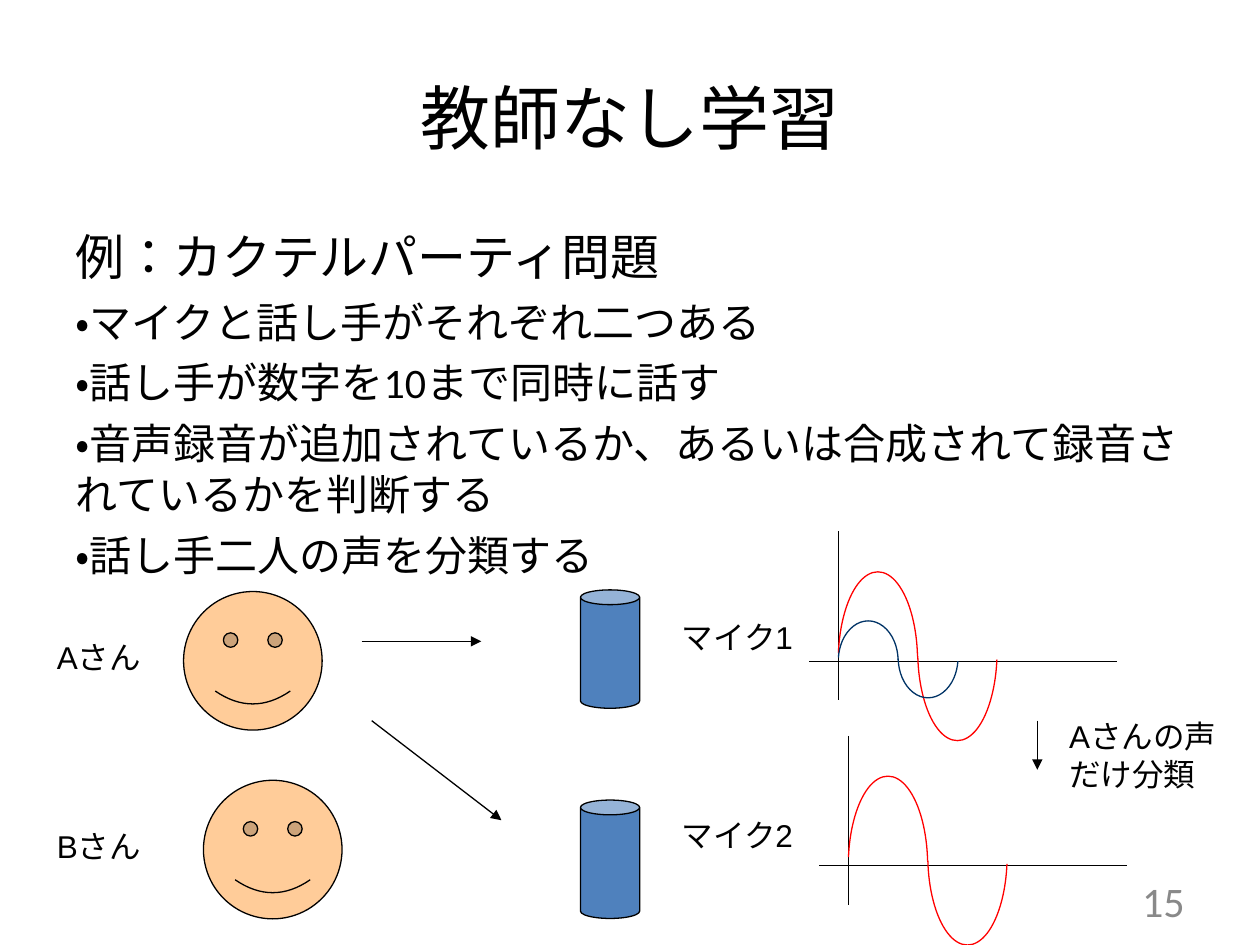
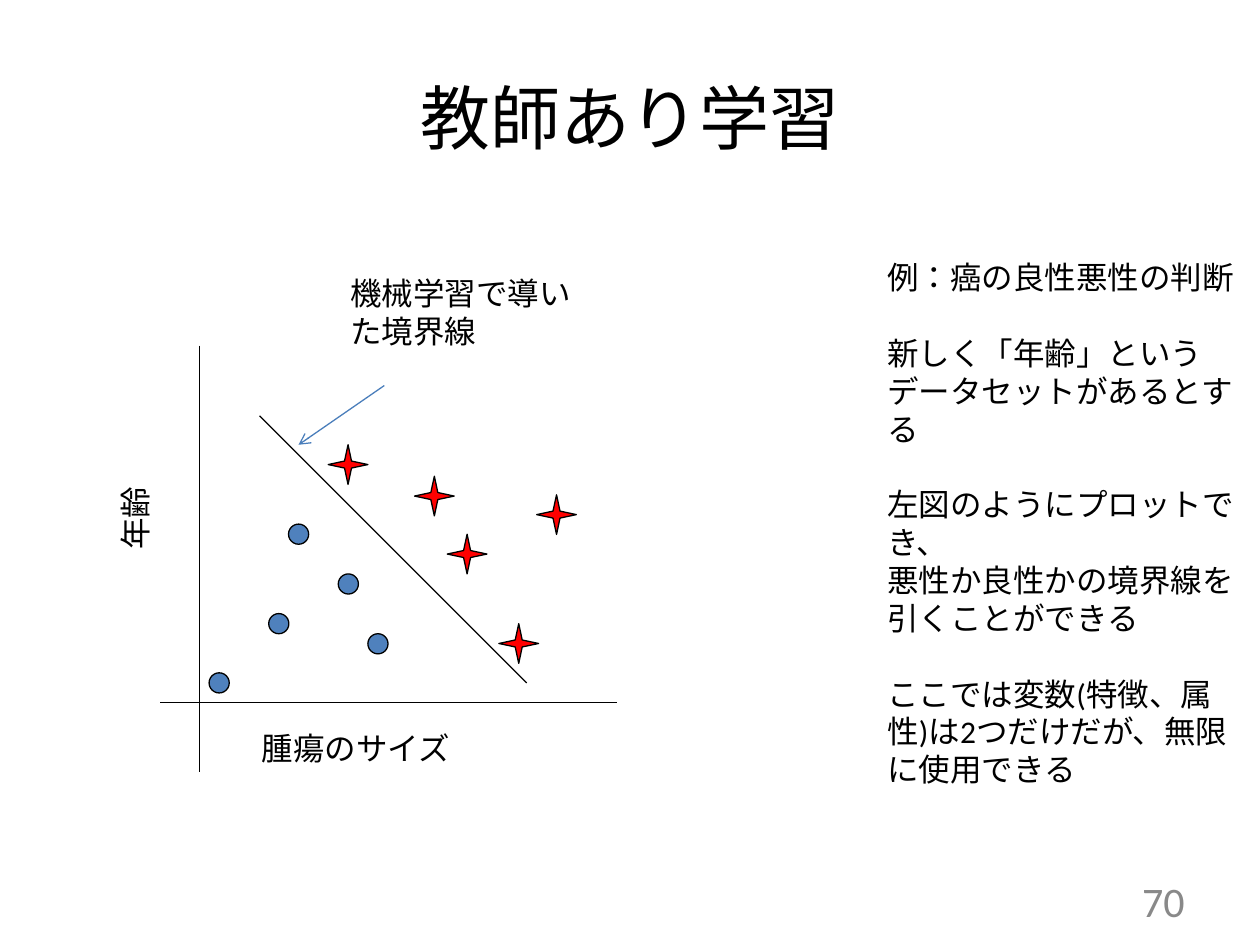
from dataclasses import dataclass
from typing import NamedTuple

from lxml.etree import SubElement
from pptx import Presentation
from pptx.dml.color import RGBColor
from pptx.enum.lang import MSO_LANGUAGE_ID
from pptx.enum.shapes import MSO_CONNECTOR, MSO_SHAPE
from pptx.enum.text import MSO_ANCHOR, PP_ALIGN
from pptx.oxml.ns import qn
from pptx.shapes.autoshape import Shape
from pptx.shapes.base import BaseShape
from pptx.slide import Slide
from pptx.util import Inches, Pt

# Every place and length below is counted in columns and rows of this grid.
COLUMNS, ROWS = 100, 75
SLIDE_WIDTH, SLIDE_HEIGHT = Inches(10), Inches(7.5)
ANGLE_UNIT = 0.6  # one degree, as an adjustment value


@dataclass(frozen=True)
class Theme:
    ink: str = "000000"
    number_grey: str = "898989"
    skin: str = "FFCC99"
    blue: str = "4F81BD"
    arrow_blue: str = "4A7EBB"
    navy: str = "003366"
    red: str = "FF0000"
    body_font: str = "Calibri"
    label_font: str = "Arial"
    title_size: float = 40
    lead_size: float = 28
    body_size: float = 24
    label_size: float = 18
    body_gap: float = 6
    section_gap: float = 21.7
    line_width: float = 0.75


THEME = Theme()


class Area(NamedTuple):
    left: float
    top: float
    width: float
    height: float


class Point(NamedTuple):
    column: float
    row: float


class Line(NamedTuple):
    start: Point
    end: Point
    head: str = ""
    color: str = THEME.ink


class Wave(NamedTuple):
    """A hump and a trough; lift raises the trough, angles bound the hump."""
    half_length: float
    amplitude: float
    lift: float
    start_angle: float
    end_angle: float
    color: str


class Label(NamedTuple):
    text: str
    area: Area
    font: str = THEME.label_font
    rotation: float = 0


class Paragraph(NamedTuple):
    text: str
    size: float
    gap: float = 0


TITLE_AREA = Area(5, 3, 90, 12.5)
NUMBER_AREA = Area(71.7, 69.5, 23.3, 4)
VOICE_A = Wave(6.3, 7.1, 0.8, 192, 353, THEME.red)
VOICE_B = Wave(4.75, 3.2, 0.3, 187, 358, THEME.navy)


def across(columns: float) -> int:
    return round(SLIDE_WIDTH * columns / COLUMNS)


def down(rows: float) -> int:
    return round(SLIDE_HEIGHT * rows / ROWS)


def place(area: Area) -> tuple[int, int, int, int]:
    return across(area.left), down(area.top), across(area.width), down(area.height)


def add_text(page: Slide, area: Area, paragraphs: list[Paragraph], *,
             font: str = THEME.body_font, color: str = THEME.ink,
             align: PP_ALIGN = PP_ALIGN.LEFT, anchor: MSO_ANCHOR = MSO_ANCHOR.TOP,
             rotation: float = 0) -> None:
    box = page.shapes.add_textbox(*place(area))
    box.rotation = rotation
    frame = box.text_frame
    frame.word_wrap = True
    frame.vertical_anchor = anchor
    for index, content in enumerate(paragraphs):
        para = frame.add_paragraph() if index else frame.paragraphs[0]
        para.alignment = align
        para.space_before = Pt(content.gap)
        span = para.add_run()
        span.text = content.text
        span.font.name = font
        span.font.size = Pt(content.size)
        span.font.color.rgb = RGBColor.from_string(color)
        span.font.language_id = MSO_LANGUAGE_ID.JAPANESE


def add_label(page: Slide, label: Label) -> None:
    add_text(page, label.area, [Paragraph(label.text, THEME.label_size)],
             font=label.font, rotation=label.rotation)


def outline(shape: BaseShape, color: str) -> None:
    shape.line.color.rgb = RGBColor.from_string(color)
    shape.line.width = Pt(THEME.line_width)


def add_figure(page: Slide, kind: MSO_SHAPE, area: Area, *, fill: str = "",
               line: str = THEME.ink) -> Shape:
    figure = page.shapes.add_shape(kind, *place(area))
    figure.shadow.inherit = False
    if fill:
        figure.fill.solid()
        figure.fill.fore_color.rgb = RGBColor.from_string(fill)
    else:
        figure.fill.background()
    outline(figure, line)
    return figure


def add_line(page: Slide, line: Line) -> None:
    connector = page.shapes.add_connector(
        MSO_CONNECTOR.STRAIGHT,
        across(line.start.column), down(line.start.row),
        across(line.end.column), down(line.end.row))
    outline(connector, line.color)
    if line.head:
        SubElement(connector.line._get_or_add_ln(), qn("a:tailEnd"), type=line.head)
    SubElement(connector._element.spPr, qn("a:effectLst"))


def add_axes(page: Slide, origin: Point, *, left: float, right: float,
             up: float, below: float) -> None:
    """Cross two lines at the origin; the four arms are lengths from it."""
    column, row = origin
    add_line(page, Line(Point(column - left, row), Point(column + right, row)))
    add_line(page, Line(Point(column, row - up), Point(column, row + below)))


def add_wave(page: Slide, origin: Point, wave: Wave) -> None:
    top = origin.row - wave.amplitude
    for half, rotation in enumerate((0, 180)):
        area = Area(origin.column + half * wave.half_length, top - half * wave.lift,
                    wave.half_length, 2 * wave.amplitude)
        arc = add_figure(page, MSO_SHAPE.ARC, area, line=wave.color)
        arc.adjustments[0] = wave.start_angle * ANGLE_UNIT
        arc.adjustments[1] = wave.end_angle * ANGLE_UNIT
        arc.rotation = rotation


def add_page(deck: Presentation, title: str, number: int) -> Slide:
    page = deck.slides.add_slide(deck.slide_layouts[6])
    add_text(page, TITLE_AREA, [Paragraph(title, THEME.title_size)],
             align=PP_ALIGN.CENTER, anchor=MSO_ANCHOR.MIDDLE)
    add_text(page, NUMBER_AREA, [Paragraph(str(number), THEME.body_size)],
             color=THEME.number_grey, align=PP_ALIGN.RIGHT, anchor=MSO_ANCHOR.MIDDLE)
    return page


def build_unsupervised(deck: Presentation) -> None:
    page = add_page(deck, "教師なし学習", 15)
    points = (
        "・マイクと話し手がそれぞれ二つある",
        "・話し手が数字を10まで同時に話す",
        "・音声録音が追加されているか、あるいは合成されて録音されているかを判断する",
        "・話し手二人の声を分類する",
    )
    add_text(page, Area(5, 17.5, 90, 49.5),
             [Paragraph("例：カクテルパーティ問題", THEME.lead_size)]
             + [Paragraph(text, THEME.body_size, THEME.body_gap) for text in points])

    for speaker in (Point(14.57, 46.95), Point(16.15, 61.93)):
        add_figure(page, MSO_SHAPE.SMILEY_FACE, Area(*speaker, 11, 11), fill=THEME.skin)
    for microphone_top in (46.82, 63.5):
        add_figure(page, MSO_SHAPE.CAN, Area(46.07, microphone_top, 4.7, 9.4),
                   fill=THEME.blue)

    for label in (
        Label("Aさん", Area(3.54, 50.14, 11.4, 4)),
        Label("Bさん", Area(3.54, 65.12, 11.4, 4)),
        Label("マイク1", Area(53.12, 48.54, 11, 7)),
        Label("マイク2", Area(53.12, 64.3, 12.6, 4)),
        Label("Aさんの声だけ分類", Area(83.86, 56.44, 13.8, 10)),
    ):
        add_label(page, label)

    for arrow in (
        Line(Point(28.7, 50.9), Point(38.2, 50.9), "triangle"),
        Line(Point(29.5, 57.2), Point(39.8, 65.1), "triangle"),
        Line(Point(82.33, 57.2), Point(82.33, 61.1), "triangle"),
    ):
        add_line(page, arrow)

    mixed, separated = Point(66.53, 52.48), Point(67.33, 68.7)
    for origin in (mixed, separated):
        add_axes(page, origin, left=2.3, right=22.1, up=10.3, below=3.1)
        add_wave(page, origin, VOICE_A)
    add_wave(page, mixed, VOICE_B)


def build_supervised(deck: Presentation) -> None:
    page = add_page(deck, "教師あり学習", 70)
    size, gap = THEME.label_size, THEME.section_gap
    add_text(page, Area(69.45, 20, 30.5, 46), [
        Paragraph("例：癌の良性悪性の判断", size),
        Paragraph("新しく「年齢」というデータセットがあるとする", size, gap),
        Paragraph("左図のようにプロットでき、", size, gap),
        Paragraph("悪性か良性かの境界線を引くことができる", size),
        Paragraph("ここでは変数(特徴、属性)は2つだけだが、無限に使用できる", size, gap),
    ])

    add_axes(page, Point(15.83, 55.78), left=3.1, right=33.1, up=28.35, below=5.5)
    benign = (Point(22.9, 41.6), Point(26.85, 45.55), Point(29.2, 50.3),
              Point(21.33, 48.7), Point(16.6, 53.4))
    malignant = (Point(32.9, 37.8), Point(39.6, 49.5), Point(42.6, 39.27),
                 Point(35.5, 42.4), Point(26.05, 35.3))
    for kind, places, side, fill in (
        (MSO_SHAPE.OVAL, benign, 1.6, THEME.blue),
        (MSO_SHAPE.STAR_4_POINT, malignant, 3.15, THEME.red),
    ):
        for corner in places:
            add_figure(page, kind, Area(*corner, side, side), fill=fill)

    add_line(page, Line(Point(20.6, 33), Point(41.8, 54.2)))
    add_line(page, Line(Point(30.5, 30.6), Point(23.7, 35.3), "arrow", THEME.arrow_blue))
    for label in (
        Label("腫瘍のサイズ", Area(19.8, 57.4, 22, 4)),
        Label("年齢", Area(7.2, 39.1, 7, 4), rotation=270),
        Label("機械学習で導いた境界線", Area(26.8, 21.26, 19.7, 7), THEME.body_font),
    ):
        add_label(page, label)


def main() -> None:
    deck = Presentation()
    deck.slide_width, deck.slide_height = SLIDE_WIDTH, SLIDE_HEIGHT
    build_unsupervised(deck)
    build_supervised(deck)
    deck.save("out.pptx")


if __name__ == "__main__":
    main()
